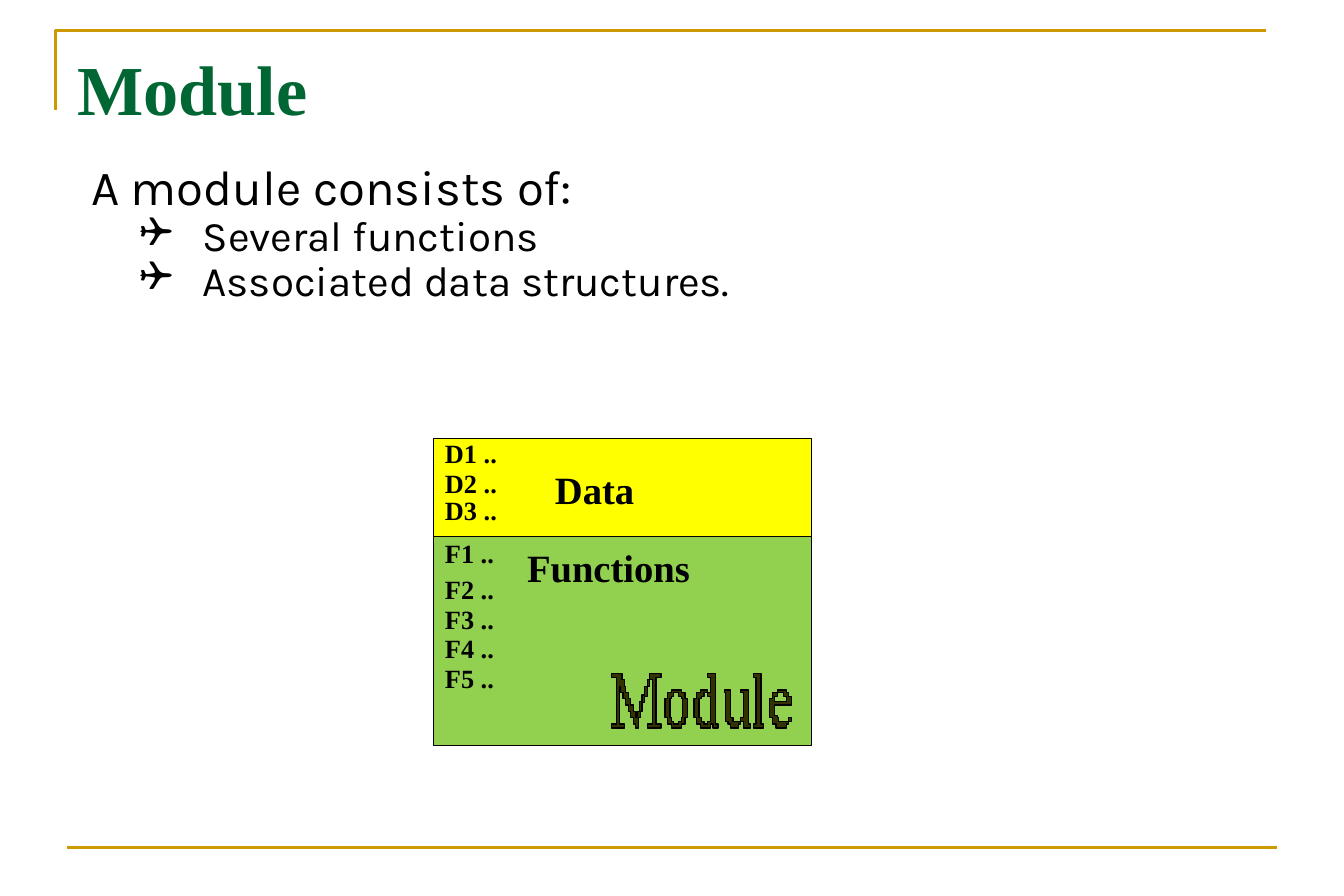
from lxml.etree import SubElement
from pptx import Presentation
from pptx.dml.color import RGBColor
from pptx.enum.shapes import MSO_CONNECTOR, MSO_SHAPE
from pptx.enum.text import MSO_ANCHOR, PP_ALIGN
from pptx.oxml.ns import qn
from pptx.util import Cm, Pt

GOLD = RGBColor(0xCC, 0x99, 0x00)
GREEN = RGBColor(0x00, 0x66, 0x33)
BLACK = RGBColor(0x00, 0x00, 0x00)
YELLOW = RGBColor(0xFF, 0xFF, 0x00)
LIME = RGBColor(0x92, 0xD0, 0x50)
OLIVE = RGBColor(0x33, 0x33, 0x00)
SERIF = "Times New Roman"
SANS = "Karla"

LETTERS = {
    "M": [[0, 0, 8, 5, 10, 10, 11, 15, 13, 20, 15, 25, 17, 30, 19, 35, 20, 30,
           22, 22, 24, 17, 26, 10, 28, 5, 30, 0, 39, 3, 35, 40, 39, 43, 28, 40,
           32, 5, 30, 10, 28, 18, 26, 23, 24, 30, 23, 35, 21, 43, 19, 40,
           17, 35, 15, 30, 13, 25, 11, 20, 9, 15, 7, 10, 6, 40, 10, 43, 0, 40,
           4, 3]],
    "o": [[47, 13, 55, 15, 58, 20, 60, 35, 58, 40, 55, 43, 47, 40, 44, 35,
           42, 20, 44, 15],
          [49, 15, 53, 18, 55, 20, 56, 35, 55, 38, 53, 40, 49, 38, 47, 35,
           46, 20, 47, 18]],
    "d": [[76, 0, 82, 40, 84, 43, 80, 40, 78, 43, 70, 40, 67, 35, 65, 20,
           67, 15, 70, 13, 76, 15, 78, 3],
          [73, 15, 76, 18, 78, 38, 76, 40, 73, 38, 71, 35, 69, 20, 71, 18]],
    "u": [[89, 13, 94, 35, 96, 38, 102, 35, 104, 15, 102, 13, 108, 40,
           110, 43, 104, 38, 102, 40, 100, 43, 94, 40, 92, 38, 90, 15]],
    "l": [[112, 0, 118, 40, 120, 43, 112, 40, 114, 3]],
    "e": [[131, 13, 138, 15, 140, 18, 142, 25, 129, 33, 131, 35, 132, 38,
           140, 35, 142, 38, 140, 40, 138, 43, 130, 40, 127, 35, 125, 20,
           127, 15],
          [131, 15, 136, 18, 138, 22, 129, 18]],
}


def set_frame(tf, anchor=MSO_ANCHOR.TOP):
    """Give a text frame the slide's margins, wrapping and anchor."""
    tf.word_wrap = True
    tf.vertical_anchor = anchor
    tf.margin_left = tf.margin_right = Cm(0.05)
    tf.margin_top = tf.margin_bottom = Cm(0.13)


def write(p, text, size, font=SERIF, color=BLACK, bold=True, spacing=0.72,
          before=0):
    """Write one formatted run into a paragraph."""
    p.alignment = PP_ALIGN.LEFT
    p.line_spacing = spacing
    p.space_before = Pt(before)
    r = p.add_run()
    r.text = text
    r.font.name = font
    r.font.size = Pt(size)
    r.font.bold = bold
    r.font.color.rgb = color


def add_bullet(p):
    """Turn a paragraph into a hanging, box-bulleted item."""
    pPr = p._p.get_or_add_pPr()
    pPr.set("marL", str(Cm(2.24)))
    pPr.set("indent", str(-Cm(1.27)))
    SubElement(pPr, qn("a:buFont"), typeface="Wingdings")
    SubElement(pPr, qn("a:buChar"), char="❑")


def add_label(s, text, x, y, w, h, size):
    """Add a bold one-line label."""
    tf = s.shapes.add_textbox(Cm(x), Cm(y), Cm(w), Cm(h)).text_frame
    set_frame(tf)
    write(tf.paragraphs[0], text, size)


def add_box(s, y, h, color):
    """Add one compartment of the module diagram."""
    sp = s.shapes.add_shape(MSO_SHAPE.ROUNDED_RECTANGLE, Cm(8.71), Cm(y),
                            Cm(7.59), Cm(h))
    sp.adjustments[0] = 0
    style(sp, color, BLACK, 0.75)


def style(sp, fill, line, width):
    """Set fill and line of a shape, and drop its shadow."""
    sp.shadow.inherit = False
    if fill is None:
        sp.fill.background()
    else:
        sp.fill.solid()
        sp.fill.fore_color.rgb = fill
    sp.line.color.rgb = line
    sp.line.width = Pt(width)


def add_letter(s, contours):
    """Add a letter from stepped contours in hundredths of an inch."""
    builder = s.shapes.build_freeform(*contours[0][:2], scale=Cm(2.54) / 100)
    for contour in contours:
        xs, ys = contour[::2], contour[1::2]
        corners = [pt for x, y, after in zip(xs, ys, xs[1:] + xs[:1])
                   for pt in ((x, y), (after, y))]
        if contour is not contours[0]:
            builder.move_to(*corners[0])
        builder.add_line_segments(corners[1:], close=True)
    style(builder.convert_to_shape(Cm(12.29), Cm(13.54)), OLIVE, BLACK, 0.75)


def add_rules(s):
    """Add the gold corner at the top and the gold line at the bottom."""
    builder = s.shapes.build_freeform(Cm(1.12), Cm(2.21))
    builder.add_line_segments([(Cm(1.12), Cm(0.61)), (Cm(25.43), Cm(0.61))],
                              close=False)
    style(builder.convert_to_shape(), None, GOLD, 1.5)
    line = s.shapes.add_connector(MSO_CONNECTOR.STRAIGHT, Cm(1.35), Cm(17.04),
                                  Cm(25.65), Cm(17.04))
    line.line.color.rgb = GOLD
    line.line.width = Pt(1.5)
    SubElement(line._element.spPr, qn("a:effectLst"))


def add_title(s, text):
    """Place and format the title placeholder."""
    sp = s.shapes.title
    sp.left, sp.top, sp.width, sp.height = Cm(1.5), Cm(0.75), Cm(20.4), Cm(1.98)
    set_frame(sp.text_frame, MSO_ANCHOR.BOTTOM)
    write(sp.text_frame.paragraphs[0], text, 40, color=GREEN, spacing=1.0)


def add_body(s, intro, items):
    """Add the introduction and its bulleted items."""
    tf = s.shapes.add_textbox(Cm(1.78), Cm(3.2), Cm(24.08), Cm(11.48)).text_frame
    set_frame(tf)
    body = dict(font=SANS, bold=False, spacing=0.85, before=1)
    write(tf.paragraphs[0], intro, 28, **body)
    for item in items:
        p = tf.add_paragraph()
        write(p, item, 24, **body)
        add_bullet(p)


def main():
    """Build the slide and save it."""
    prs = Presentation()
    prs.slide_width, prs.slide_height = Cm(27), Cm(18.01)
    s = prs.slides.add_slide(prs.slide_layouts[5])
    add_rules(s)
    add_title(s, "Module")
    add_body(s, "A module consists of:",
             ["Several functions", "Associated data structures."])
    add_box(s, 8.81, 1.98, YELLOW)
    add_box(s, 10.79, 4.19, LIME)
    for contours in LETTERS.values():
        add_letter(s, contours)
    add_label(s, "Data", 11.1, 9.48, 4.8, 1.19, 22)
    add_label(s, "Functions", 10.54, 11.05, 4.8, 1.19, 22)
    for prefix, tops in (("D", [8.83, 9.43, 9.96]),
                         ("F", [10.83, 11.56, 12.15, 12.75, 13.34])):
        for i, top in enumerate(tops, 1):
            add_label(s, f"{prefix}{i} ..", 8.89, top, 1.6, 0.87, 15)
    prs.save("out.pptx")


if __name__ == "__main__":
    main()
